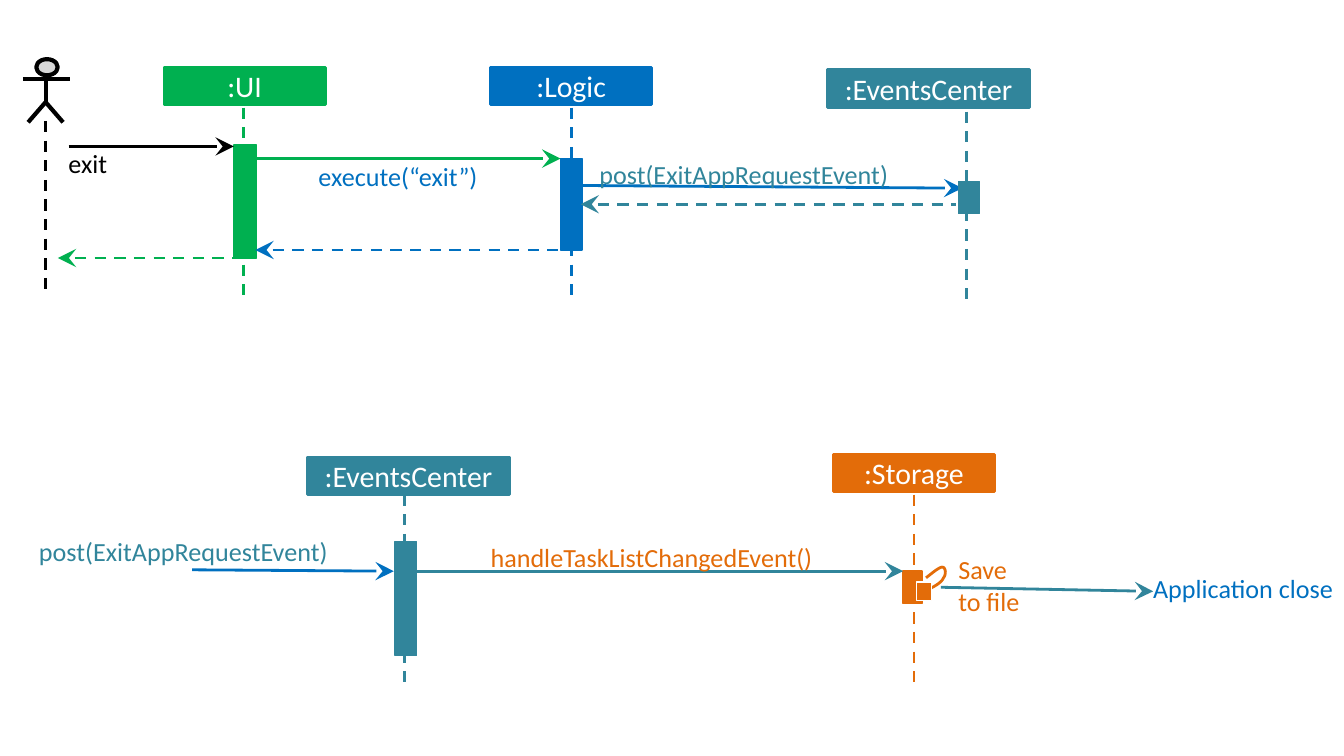
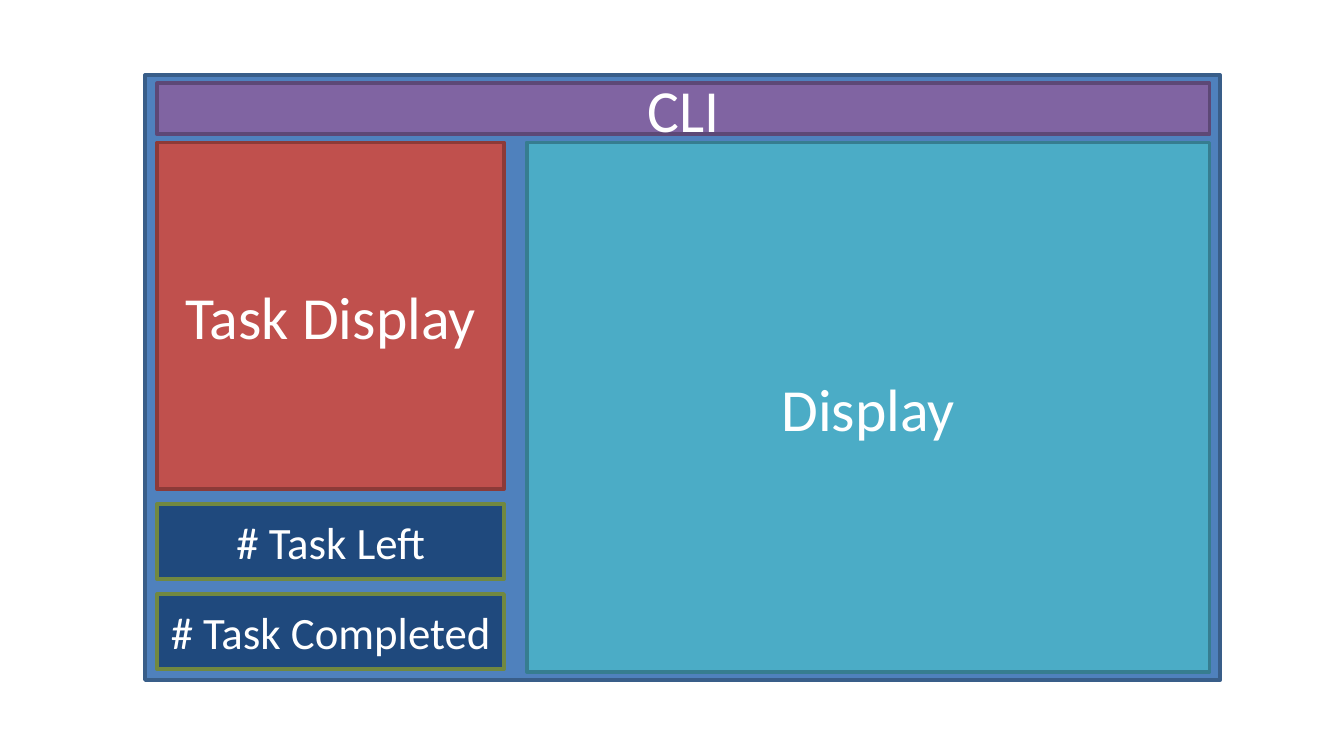
from copy import deepcopy

from lxml.etree import SubElement
from pptx import Presentation
from pptx.dml.color import RGBColor
from pptx.enum.dml import MSO_LINE
from pptx.enum.shapes import MSO_CONNECTOR, MSO_SHAPE
from pptx.enum.text import MSO_ANCHOR, PP_ALIGN
from pptx.oxml.ns import qn
from pptx.util import Inches, Pt

FONT = "Calibri"
BLACK = RGBColor(0x00, 0x00, 0x00)
WHITE = RGBColor(0xFF, 0xFF, 0xFF)
GREY = RGBColor(0xD8, 0xD8, 0xD8)

# Each component of the sequence diagrams has its own colour
UI = RGBColor(0x00, 0xB0, 0x50)
LOGIC = RGBColor(0x00, 0x70, 0xC0)
EVENTS = RGBColor(0x31, 0x85, 0x9B)
STORAGE = RGBColor(0xE3, 0x6C, 0x09)

# Fill and border of the window layout
WINDOW = RGBColor(0x4F, 0x81, 0xBD), RGBColor(0x39, 0x5E, 0x89)
TASKS = RGBColor(0xC0, 0x50, 0x4D), RGBColor(0x8C, 0x3A, 0x38)
COUNTER = RGBColor(0x1F, 0x49, 0x7D), RGBColor(0x71, 0x88, 0x40)
COMMAND = RGBColor(0x80, 0x64, 0xA2), RGBColor(0x5D, 0x48, 0x76)
DISPLAY = RGBColor(0x4B, 0xAC, 0xC6), RGBColor(0x36, 0x7D, 0x90)


def write(frame, text, size=14, colour=WHITE, align=PP_ALIGN.LEFT):
    """Put one paragraph into a frame; a newline becomes a line break."""
    frame.word_wrap = True
    para = frame.paragraphs[0]
    para.text = text.replace("\n", "\v")
    para.alignment = align
    for span in para.runs:
        span.font.name = FONT
        span.font.size = Pt(size)
        span.font.color.rgb = colour
    for line_break in para._p.findall(qn("a:br")):
        line_break.append(deepcopy(para.runs[0]._r.rPr))


class Region:
    """A part of a page; all its lengths are inches from its top left corner."""

    def __init__(self, page, left, top):
        self.shapes = page.shapes
        self.left, self.top = left, top

    def at(self, x, y):
        return Inches(self.left + x), Inches(self.top + y)

    def box(self, x, y, width, height, fill, border=None, weight=0.75,
            text="", size=16, kind=MSO_SHAPE.RECTANGLE):
        box = self.shapes.add_shape(kind, *self.at(x, y), Inches(width), Inches(height))
        box.shadow.inherit = False
        box.fill.solid()
        box.fill.fore_color.rgb = fill
        box.line.color.rgb = fill if border is None else border
        box.line.width = Pt(weight)
        if text:
            box.text_frame.vertical_anchor = MSO_ANCHOR.MIDDLE
            write(box.text_frame, text, size=size, align=PP_ALIGN.CENTER)

    def label(self, x, y, width, text, colour, height=0.18):
        box = self.shapes.add_textbox(*self.at(x, y), Inches(width), Inches(height))
        frame = box.text_frame
        frame.margin_left = frame.margin_right = 0
        frame.margin_top = frame.margin_bottom = 0
        write(frame, text, colour=colour)

    def line(self, start, end, colour, weight=1.5, dashed=False, arrow=None):
        line = self.shapes.add_connector(
            MSO_CONNECTOR.STRAIGHT, *self.at(*start), *self.at(*end))
        line.line.color.rgb = colour
        line.line.width = Pt(weight)
        if dashed:
            line.line.dash_style = MSO_LINE.DASH
        if arrow:
            SubElement(line.line._get_or_add_ln(), qn(f"a:{arrow}"),
                       type="stealth", w="lg", len="lg")
        SubElement(line._element.spPr, qn("a:effectLst"))

    def call(self, start, end, colour):
        self.line(start, end, colour, arrow="tailEnd")

    def reply(self, receiver, sender, y, colour):
        self.line((receiver, y), (sender, y), colour, dashed=True, arrow="headEnd")

    def outline(self, points, colour, weight):
        first, *rest = [self.at(*point) for point in points]
        builder = self.shapes.build_freeform(*first)
        builder.add_line_segments(rest, close=False)
        shape = builder.convert_to_shape()
        shape.shadow.inherit = False
        shape.fill.background()
        shape.line.color.rgb = colour
        shape.line.width = Pt(weight)

    def lifeline(self, x, y, width, name, colour, axis, bar, drop=0.3):
        """Header, dashed axis below it, and activation bar."""
        self.box(x, y, width, 0.28, colour, weight=1.5, text=name)
        self.line((axis, y + drop), (axis, y + drop + 1.41), colour, dashed=True)
        self.box(*bar, colour)


def curve(start, *segments, steps=8):
    """Points along joined cubic curves, each given as three points."""
    points = [start]
    for first, second, end in segments:
        origin = points[-1]
        for step in range(1, steps + 1):
            t = step / steps
            u = 1 - t
            points.append(tuple(
                u**3 * a + 3 * u * u * t * b + 3 * u * t * t * c + t**3 * d
                for a, b, c, d in zip(origin, first, second, end)))
    return points


def actor(page, left, top):
    figure = Region(page, left, top)
    figure.box(0.1, 0, 0.16, 0.12, GREY, border=BLACK, weight=2.25,
               kind=MSO_SHAPE.FLOWCHART_CONNECTOR)
    figure.line((0.17, 0.12), (0.17, 0.32), BLACK, weight=2.25)
    figure.outline([(0.04, 0.47), (0.17, 0.32), (0.3, 0.47)], BLACK, 2.25)
    figure.line((0, 0.15), (0.35, 0.15), BLACK, weight=2.25)
    figure.line((0.17, 0.46), (0.17, 1.77), BLACK, dashed=True)


def exit_sequence(page, left, top):
    area = Region(page, left, top)
    actor(page, left, top)
    area.lifeline(1.05, 0.06, 1.2, ":UI", UI, 1.64, (1.57, 0.64, 0.17, 0.84))
    area.lifeline(3.48, 0.06, 1.2, ":Logic", LOGIC, 4.08, (4, 0.74, 0.16, 0.68))

    # Calls
    area.call((0.34, 0.65), (1.57, 0.65), BLACK)
    area.label(0.34, 0.66, 0.94, "exit", BLACK)
    area.call((1.73, 0.74), (4, 0.74), UI)
    area.label(2.2, 0.75, 1.56, "execute(“exit”)", LOGIC)
    area.call((4.13, 0.94), (6.99, 0.96), LOGIC)
    area.label(4.29, 0.74, 2.67, "post(ExitAppRequestEvent)", EVENTS)

    # The events bar covers the tip of the call above
    area.lifeline(5.99, 0.08, 1.5, ":EventsCenter", EVENTS, 7.02,
                  (6.96, 0.91, 0.16, 0.24), drop=0.31)

    # Replies
    area.reply(1.73, 3.98, 1.42, LOGIC)
    area.reply(0.26, 1.57, 1.48, UI)
    area.reply(4.15, 6.94, 1.08, EVENTS)


def storage_sequence(page, left, top):
    area = Region(page, left, top)
    area.lifeline(5.91, 0, 1.2, ":Storage", STORAGE, 6.51, (6.43, 0.87, 0.14, 0.24))
    area.lifeline(2, 0.02, 1.5, ":EventsCenter", EVENTS, 2.72,
                  (2.65, 0.65, 0.16, 0.85), drop=0.28)

    # Events
    area.label(0, 0.6, 2.97, "post(ExitAppRequestEvent)", EVENTS)
    area.call((1.14, 0.86), (2.64, 0.87), LOGIC)
    area.call((2.8, 0.87), (6.43, 0.87), EVENTS)
    area.label(3.36, 0.65, 2.91, "handleTaskListChangedEvent()", STORAGE)

    # Storage calls itself to save
    loop = curve((6.63, 1),
                 ((6.67, 0.98), (6.72, 0.95), (6.73, 0.92)),
                 ((6.75, 0.9), (6.75, 0.84), (6.72, 0.84)),
                 ((6.7, 0.84), (6.65, 0.88), (6.6, 0.92)))
    area.outline(loop, STORAGE, 1.5)
    area.box(6.53, 0.95, 0.11, 0.14, STORAGE, border=WHITE)
    area.label(6.84, 0.74, 0.59, "Save \nto file", STORAGE, height=0.35)

    # Closing
    area.call((6.71, 0.99), (8.29, 1.02), EVENTS)
    area.label(8.29, 0.88, 1.56, "Application close", LOGIC)


def window_layout(page, left, top):
    window = Region(page, left, top)

    def panel(x, y, width, height, colours, text="", size=32):
        window.box(x, y, width, height, *colours, weight=2, text=text, size=size)

    panel(0, 0, 8, 4.5, WINDOW)
    panel(0.09, 0.06, 7.83, 0.38, COMMAND, "CLI")
    panel(0.09, 0.5, 2.58, 2.58, TASKS, "Task Display")
    panel(2.84, 0.5, 5.08, 3.94, DISPLAY, "Display")
    for row, text in enumerate(["# Task Left", "# Task Completed"]):
        panel(0.09, 3.19 + 0.67 * row, 2.58, 0.56, COUNTER, text, size=24)


def main():
    deck = Presentation()
    # Widescreen, 16 to 9
    deck.slide_width = Inches(10)
    deck.slide_height = Inches(10 * 9 / 16)
    blank = deck.slide_layouts[6]

    page = deck.slides.add_slide(blank)
    exit_sequence(page, 0.17, 0.44)
    storage_sequence(page, 0.29, 3.38)

    page = deck.slides.add_slide(blank)
    window_layout(page, 1.08, 0.56)

    deck.save("out.pptx")


if __name__ == "__main__":
    main()
